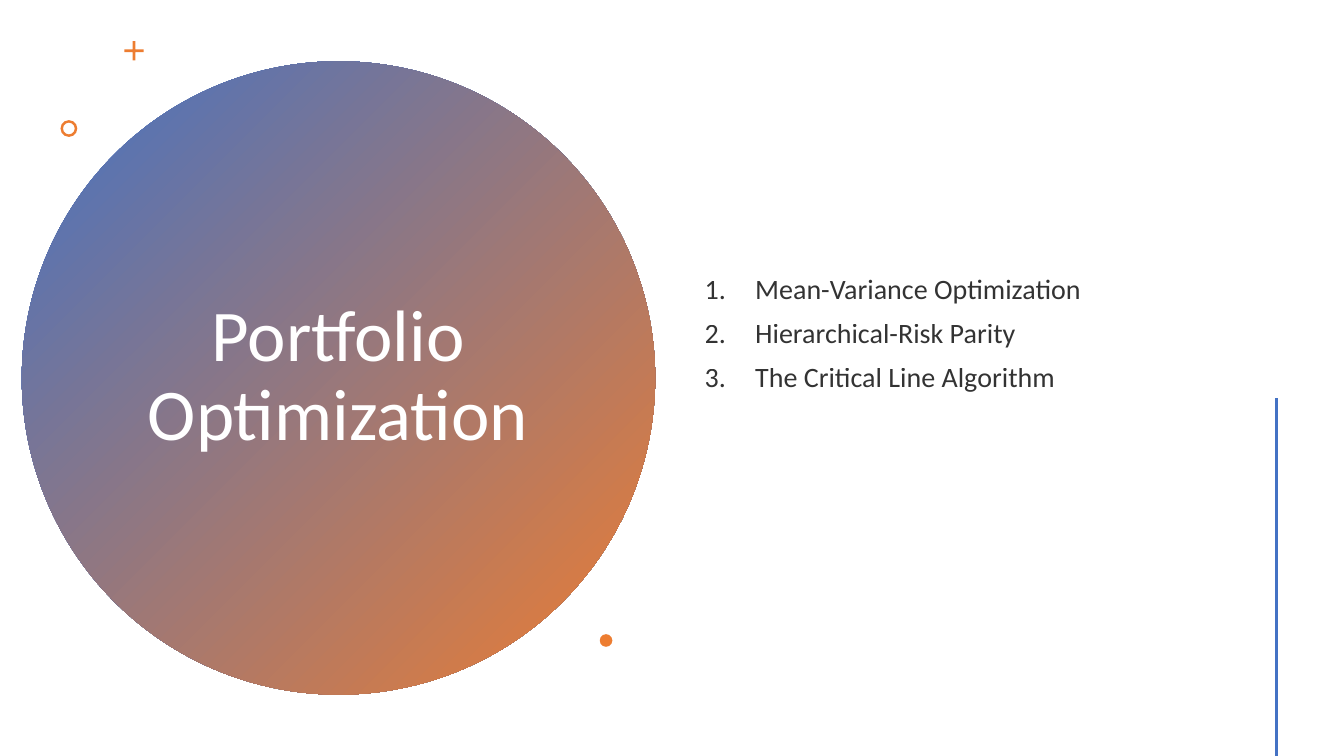
from dataclasses import dataclass

from lxml import etree
from pptx import Presentation
from pptx import util as u
from pptx.dml.color import RGBColor
from pptx.enum import shapes, text
from pptx.oxml.ns import qn


@dataclass(frozen=True)
class Theme:
    blue: RGBColor = RGBColor(0x44, 0x72, 0xC4)
    orange: RGBColor = RGBColor(0xED, 0x7D, 0x31)
    white: RGBColor = RGBColor(0xFF, 0xFF, 0xFF)
    ink: RGBColor = RGBColor(0x00, 0x00, 0x00)
    ink_opacity: int = 80
    font: str = "Calibri"
    title_size: int = 52
    list_size: int = 20
    line_spacing: float = 0.9


@dataclass(frozen=True)
class Area:
    """A rectangle in columns and rows of the slide grid."""
    column: float
    row: float
    columns: float
    rows: float


@dataclass(frozen=True)
class Ornament:
    kind: shapes.MSO_SHAPE
    area: Area
    adjustment: float | None = None


THEME = Theme()
WIDTH, HEIGHT = u.Inches(13.33), u.Inches(7.5)
COLUMN, ROW = WIDTH / 16, HEIGHT / 9

DISC = Area(0.26, 0.73, 7.54, 7.54)
TITLE = Area(1.63, 1.69, 4.79, 5.6)
LIST = Area(8.27, 0.68, 6.26, 7.66)
ORNAMENTS = [
    Ornament(shapes.MSO_SHAPE.CROSS, Area(1.48, 0.49, 0.23, 0.23), 0.43),
    Ornament(shapes.MSO_SHAPE.DONUT, Area(0.72, 1.43, 0.2, 0.2), 0.15),
    Ornament(shapes.MSO_SHAPE.OVAL, Area(7.14, 7.55, 0.15, 0.15)),
]
METHODS = [
    "Mean-Variance Optimization",
    "Hierarchical-Risk Parity",
    "The Critical Line Algorithm",
]


def bounds(area: Area) -> tuple[int, int, int, int]:
    return (round(area.column * COLUMN), round(area.row * ROW),
            round(area.columns * COLUMN), round(area.rows * ROW))


def add_plain_shape(page, kind: shapes.MSO_SHAPE, area: Area):
    shape = page.shapes.add_shape(kind, *bounds(area))
    shape.shadow.inherit = False
    shape.line.fill.background()
    return shape


def add_ornament(page, ornament: Ornament) -> None:
    shape = add_plain_shape(page, ornament.kind, ornament.area)
    shape.fill.solid()
    shape.fill.fore_color.rgb = THEME.orange
    if ornament.adjustment is not None:
        shape.adjustments[0] = ornament.adjustment


def add_disc(page):
    disc = add_plain_shape(page, shapes.MSO_SHAPE.OVAL, DISC)
    disc.fill.gradient()
    disc.fill.gradient_angle = 315
    for stop, position, color in zip(disc.fill.gradient_stops, (0, 1),
                                     (THEME.blue, THEME.orange)):
        stop.position = position
        stop.color.rgb = color
    return disc


def place_text(box, area: Area, content: str):
    box.left, box.top, box.width, box.height = bounds(area)
    frame = box.text_frame
    frame.text = content
    frame.word_wrap = True
    frame.auto_size = text.MSO_AUTO_SIZE.NONE
    frame.vertical_anchor = text.MSO_ANCHOR.MIDDLE
    return frame


def style_paragraph(para, size: int, color: RGBColor, align: text.PP_ALIGN) -> None:
    para.alignment = align
    para.line_spacing = THEME.line_spacing
    para.font.name = THEME.font
    para.font.size = u.Pt(size)
    para.font.color.rgb = color


def number_paragraph(para) -> None:
    properties = para._p.get_or_add_pPr()
    properties.set("marL", str(u.Inches(0.5)))
    properties.set("indent", str(u.Inches(-0.5)))
    number = etree.Element(qn("a:buAutoNum"), type="arabicPeriod")
    properties.find(qn("a:defRPr")).addprevious(number)


def add_vertical_rule(page) -> None:
    x, top = round(15.2 * COLUMN), round(4.74 * ROW)
    rule = page.shapes.add_connector(shapes.MSO_CONNECTOR.STRAIGHT, x, top, x, HEIGHT)
    rule.line.color.rgb = THEME.blue
    rule.line.width = u.Pt(2)
    etree.SubElement(rule._element.spPr, qn("a:effectLst"))


def main() -> None:
    deck = Presentation()
    deck.slide_width, deck.slide_height = WIDTH, HEIGHT
    page = deck.slides.add_slide(deck.slide_layouts[0])
    title, methods = page.placeholders

    # Title over the gradient disc
    frame = place_text(title, TITLE, "Portfolio Optimization")
    style_paragraph(frame.paragraphs[0], THEME.title_size, THEME.white,
                    text.PP_ALIGN.CENTER)
    title._element.addprevious(add_disc(page)._element)

    # Numbered list, raised above the middle by its bottom margin
    frame = place_text(methods, LIST, "\n".join(METHODS))
    frame.margin_bottom = u.Inches(0.93)
    for para in frame.paragraphs:
        style_paragraph(para, THEME.list_size, THEME.ink, text.PP_ALIGN.LEFT)
        para.space_before = u.Pt(10)
        number_paragraph(para)
        ink = para._p.pPr.find(".//" + qn("a:srgbClr"))
        etree.SubElement(ink, qn("a:alpha"), val=str(THEME.ink_opacity * 1000))

    # Ornaments and rule
    for ornament in ORNAMENTS:
        add_ornament(page, ornament)
    add_vertical_rule(page)

    deck.save("out.pptx")


if __name__ == "__main__":
    main()
